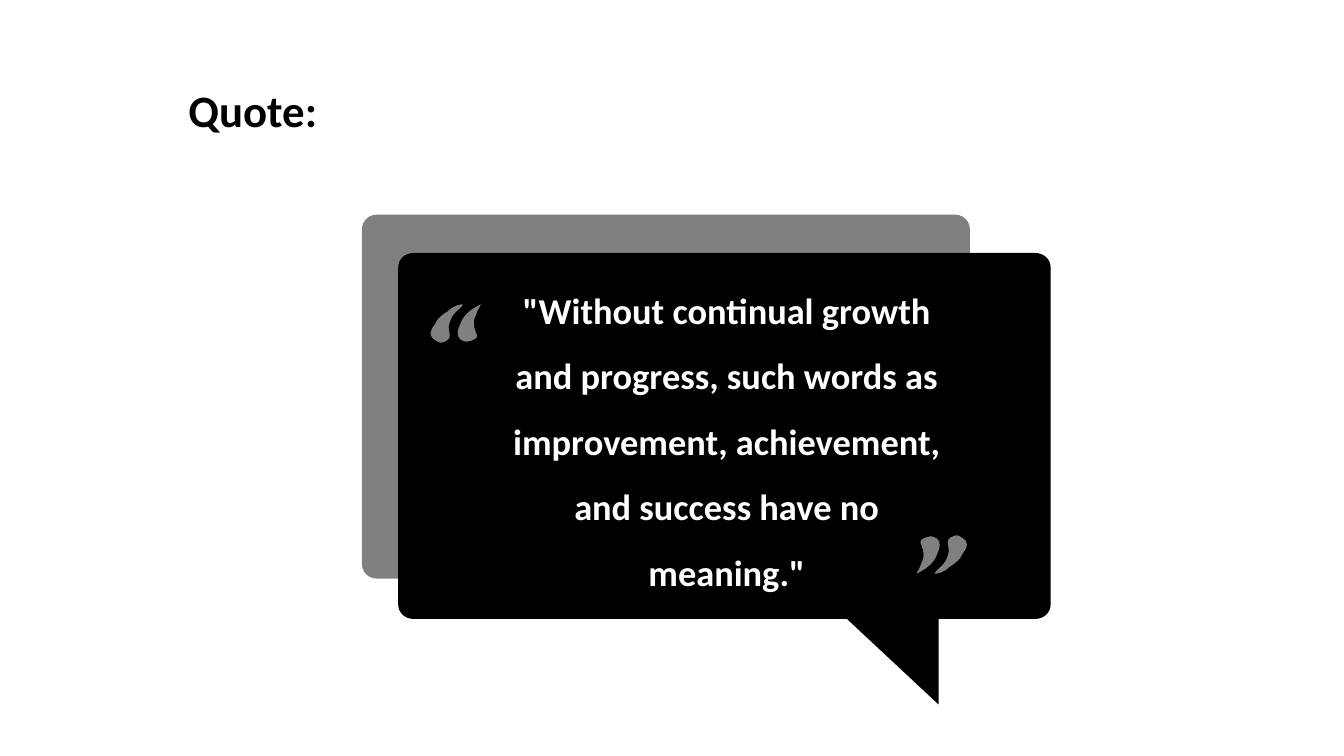
from lxml.etree import SubElement
from pptx import Presentation
from pptx.dml.color import RGBColor
from pptx.enum.shapes import MSO_SHAPE
from pptx.enum.text import MSO_ANCHOR, PP_ALIGN
from pptx.oxml.ns import qn
from pptx.util import Pt

PX = 9144
BLACK = RGBColor(0x00, 0x00, 0x00)
GREY = RGBColor(0x80, 0x80, 0x80)
WHITE = RGBColor(0xFF, 0xFF, 0xFF)
FONT = "Calibri"

BUBBLE = [[
    (15, 0), (632, 0), (640, 0, 647, 6, 647, 14),
    (647, 349), (647, 357, 640, 363, 632, 363),
    (536, 363), (536, 448), (445, 363),
    (15, 363), (7, 363, 0, 357, 0, 349),
    (0, 14), (0, 6, 7, 0, 15, 0),
]]

QUOTE_MARK = [
    [
        (50, 0), (50, 0, 50, 0, 50, 0), (50, 1, 50, 1, 49, 2),
        (47, 5, 46, 8, 45, 11), (43, 14, 43, 17, 43, 19),
        (43, 22, 44, 25, 45, 28), (46, 29, 46, 30, 46, 32),
        (46, 33, 45, 34, 43, 35), (40, 36, 38, 37, 36, 37),
        (34, 37, 32, 36, 30, 35), (28, 34, 27, 31, 27, 28),
        (27, 25, 29, 21, 31, 16), (33, 12, 37, 8, 41, 5),
        (46, 2, 49, 0, 50, 0),
    ],
    [
        (31, 0), (32, 0, 32, 0, 32, 0), (32, 1, 32, 1, 31, 2),
        (27, 6, 23, 9, 21, 13), (19, 17, 18, 21, 18, 23),
        (18, 26, 19, 28, 19, 29), (19, 30, 19, 31, 19, 32),
        (19, 33, 18, 35, 16, 36), (14, 37, 12, 38, 10, 38),
        (9, 38, 7, 37, 4, 35), (2, 34, 0, 32, 0, 29),
        (0, 27, 1, 25, 2, 23), (3, 22, 5, 19, 7, 15),
        (10, 12, 13, 9, 17, 7), (20, 4, 23, 2, 26, 1),
        (29, 0, 31, 0, 31, 0),
    ],
]


def paint(sp, color):
    sp.shadow.inherit = False
    sp.fill.solid()
    sp.fill.fore_color.rgb = color
    sp.line.fill.background()


def bend(line, segment):
    line.tag = qn("a:cubicBezTo")
    line.remove(line[0])
    for x, y in zip(segment[::2], segment[1::2]):
        SubElement(line, qn("a:pt"), x=str(x), y=str(y))


def add_outline(s, contours, color, left, top, rotation=0):
    builder = s.shapes.build_freeform(*contours[0][0], scale=PX)
    for i, contour in enumerate(contours):
        if i:
            builder.move_to(*contour[0])
        builder.add_line_segments([segment[-2:] for segment in contour[1:]],
                                  close=True)
    sp = builder.convert_to_shape(left * PX, top * PX)
    segments = [segment for contour in contours for segment in contour[1:]]
    lines = list(sp._element.iter(qn("a:lnTo")))
    for line, segment in zip(lines, segments):
        if len(segment) == 6:
            bend(line, segment)
    sp.rotation = rotation
    paint(sp, color)


def add_panel(s, left, top, width, height, color):
    sp = s.shapes.add_shape(MSO_SHAPE.ROUNDED_RECTANGLE,
                            left * PX, top * PX, width * PX, height * PX)
    sp.adjustments[0] = 0.04
    paint(sp, color)


def add_text(s, text, left, top, width, height, size, color, align, spacing,
             bottom=5):
    sp = s.shapes.add_textbox(left * PX, top * PX, width * PX, height * PX)
    tf = sp.text_frame
    tf.word_wrap = True
    tf.vertical_anchor = MSO_ANCHOR.MIDDLE
    tf.margin_bottom = bottom * PX
    p = tf.paragraphs[0]
    p.text = text
    p.alignment = align
    p.line_spacing = spacing
    p.font.name = FONT
    p.font.size = Pt(size)
    p.font.bold = True
    p.font.color.rgb = color


def main():
    prs = Presentation()
    prs.slide_width = 1333 * PX
    prs.slide_height = 750 * PX
    s = prs.slides.add_slide(prs.slide_layouts[6])

    add_text(s, "Quote:", 177, 67, 1073, 91, 32, BLACK, PP_ALIGN.LEFT, 0.9)
    add_panel(s, 359, 213, 603, 361, GREY)
    add_outline(s, BUBBLE, BLACK, 395, 251)
    add_text(s, '"Without continual growth and progress, such words as '
                'improvement, achievement, and success have no meaning."',
             480, 322, 482, 252, 26, WHITE, PP_ALIGN.CENTER, 1.5, bottom=48)
    add_outline(s, QUOTE_MARK, GREY, 427, 302)
    add_outline(s, QUOTE_MARK, GREY, 909, 531, rotation=180)

    prs.save("out.pptx")


if __name__ == "__main__":
    main()
